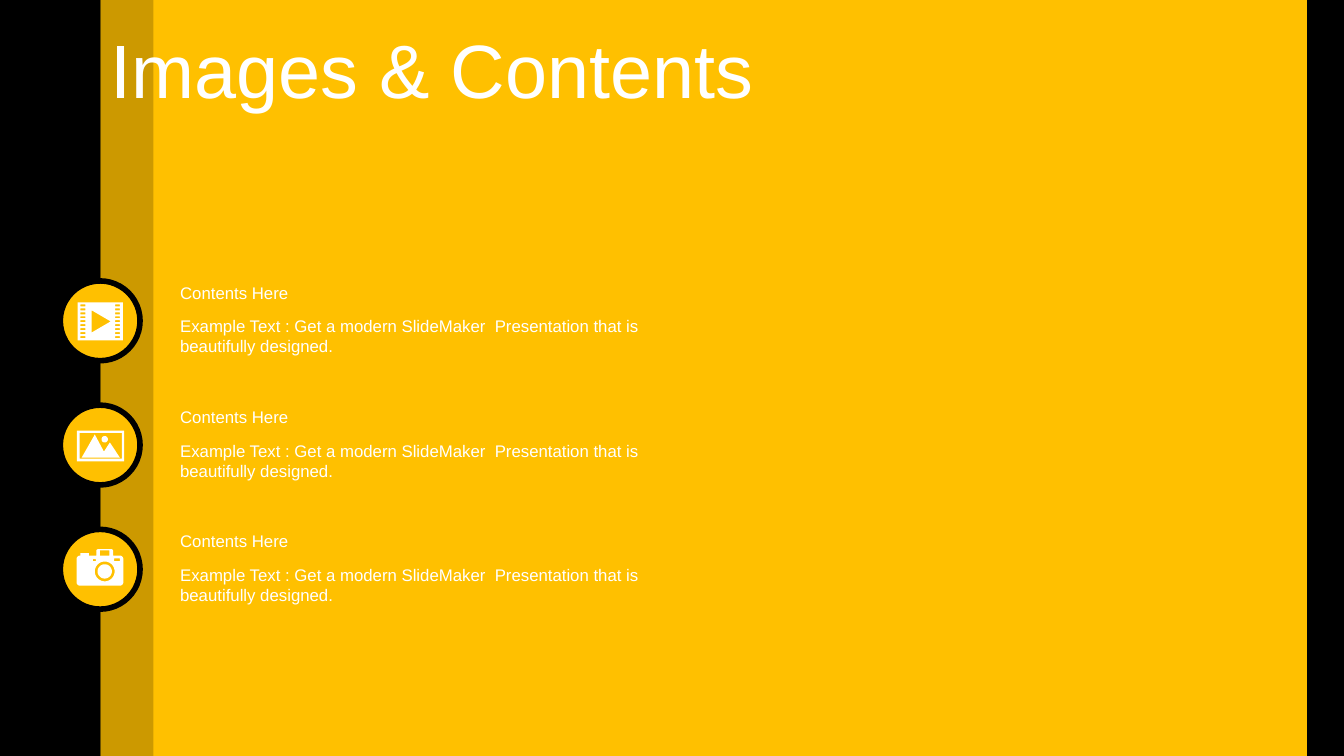
import math

from lxml import etree
from pptx import Presentation
from pptx.dml.color import RGBColor
from pptx.enum.shapes import MSO_SHAPE
from pptx.enum.text import MSO_ANCHOR, MSO_AUTO_SIZE
from pptx.oxml.ns import qn
from pptx.util import Cm, Pt

RECTANGLE, OVAL = MSO_SHAPE.RECTANGLE, MSO_SHAPE.OVAL
MIDDLE, TOP = MSO_ANCHOR.MIDDLE, MSO_ANCHOR.TOP
GROW, FIXED = MSO_AUTO_SIZE.SHAPE_TO_FIT_TEXT, MSO_AUTO_SIZE.NONE

WIDTH, HEIGHT = 33.87, 19.05
BLACK, AMBER, WHITE = "000000", "FFC000", "FFFFFF"
ROW_TOP, ROW_PITCH = 7.08, 3.13
HEADING = "Contents Here"
EXAMPLE = ("Example Text : Get a modern SlideMaker  Presentation that is "
           "beautifully designed.")


def colour(value):
    return RGBColor.from_string(value)


def rectangle(left, top, right, bottom):
    return [(left, top), (right, top), (right, bottom), (left, bottom)]


def arc(x, y, radius, start=0, end=360):
    """Points on an arc, with angles running clockwise from the right."""
    steps = max(6, (end - start) // 10)
    angles = [math.radians(start + (end - start) * i / steps)
              for i in range(steps + 1)]
    return [(x + radius * math.cos(a), y + radius * math.sin(a)) for a in angles]


class SlideBuilder:
    font_name = "Arial"

    def __init__(self, page):
        self.page = page

    def paint(self, shape, fill, alpha=None):
        shape.shadow.inherit = False
        shape.fill.solid()
        shape.fill.fore_color.rgb = colour(fill)
        shape.line.fill.background()
        if alpha is not None:
            tint = shape.fill._xPr.find(".//" + qn("a:srgbClr"))
            etree.SubElement(tint, qn("a:alpha"), val=str(alpha * 1000))

    def shape(self, kind, left, top, width, height, fill, alpha=None):
        shape = self.page.shapes.add_shape(
            kind, Cm(left), Cm(top), Cm(width), Cm(height))
        self.paint(shape, fill, alpha)
        return shape

    def badge(self, top):
        circle = self.shape(OVAL, 1.52, top, 2.01, 2.01, AMBER)
        circle.line.color.rgb = colour(BLACK)
        circle.line.width = Pt(4)

    def text(self, parent, left, top, width, height, words, size,
             anchor=TOP, auto_size=GROW, spacing=None):
        box = parent.shapes.add_textbox(Cm(left), Cm(top), Cm(width), Cm(height))
        frame_format = {"word_wrap": True, "vertical_anchor": anchor,
                        "auto_size": auto_size}
        for name, value in frame_format.items():
            setattr(box.text_frame, name, value)
        para = box.text_frame.paragraphs[0]
        if spacing:
            para.line_spacing = spacing
        span = para.add_run()
        span.text = words
        for name, value in {"name": self.font_name, "size": Pt(size)}.items():
            setattr(span.font, name, value)
        span.font.color.rgb = colour(WHITE)

    def content(self, top):
        group = self.page.shapes.add_group_shape()
        self.text(group, 4.29, top, 12.4, 0.76, HEADING, 12)
        self.text(group, 4.29, top + 0.85, 12.4, 1.27, EXAMPLE, 12)

    def icon(self, outlines):
        """One white freeform; inner outlines cut holes in outer ones."""
        builder = None
        for outline in outlines:
            points = [(Cm(x), Cm(y)) for x, y in outline]
            if builder is None:
                builder = self.page.shapes.build_freeform(*points[0], scale=1.0)
            else:
                builder.move_to(*points[0])
            builder.add_line_segments(points[1:], close=True)
        self.paint(builder.convert_to_shape(), WHITE)


def film_icon():
    holes = [rectangle(left, 7.67 + 0.1 * i, left + 0.12, 7.72 + 0.1 * i)
             for i in range(9) for left in (2.03, 2.9)]
    play = [(2.31, 7.82), (2.31, 8.38), (2.79, 8.1)]
    return [rectangle(1.96, 7.62, 3.1, 8.58), play] + holes


def landscape_icon():
    mountains = [(2.39, 10.95), (2.62, 11.38), (2.77, 11.15),
                 (3.02, 11.53), (2.06, 11.53)]
    return [rectangle(1.94, 10.85, 3.13, 11.63), rectangle(2.01, 10.91, 3.07, 11.56),
            mountains, arc(2.64, 11.07, 0.08)]


def camera_icon():
    button = [(2.03, 14), (2.03, 13.94), (2.24, 13.94), (2.24, 14)]
    hump = ([(2.43, 14)] + arc(2.47, 13.88, 0.04, 180, 270)
            + arc(2.81, 13.88, 0.04, 270, 360) + [(2.85, 14)])
    body = (arc(2.02, 14.09, 0.09, 180, 270) + button + hump
            + arc(3.02, 14.09, 0.09, 270, 360) + arc(3.02, 14.67, 0.09, 0, 90)
            + arc(2.02, 14.67, 0.09, 90, 180))
    return [body, rectangle(2.52, 13.87, 2.76, 14),
            rectangle(2.34, 14.09, 2.42, 14.14), rectangle(2.88, 14.07, 3.02, 14.14),
            arc(2.64, 14.4, 0.25), arc(2.64, 14.4, 0.18)]


def main():
    deck = Presentation()
    deck.slide_width, deck.slide_height = Cm(WIDTH), Cm(HEIGHT)
    page = deck.slides.add_slide(deck.slide_layouts[6])
    page.background.fill.solid()
    page.background.fill.fore_color.rgb = colour(AMBER)
    slide = SlideBuilder(page)

    # Backdrop bands
    slide.shape(RECTANGLE, 0, 0, 2.54, HEIGHT, BLACK)
    slide.shape(RECTANGLE, 2.54, 0, 17.07, HEIGHT, AMBER)
    slide.shape(RECTANGLE, 2.54, 0, 1.33, HEIGHT, BLACK, alpha=20)
    slide.shape(RECTANGLE, 32.94, 0, 0.93, HEIGHT, BLACK)

    # Title
    slide.text(page, 2.54, 0.56, 17.07, 2.62, "Images & Contents", 54,
               MIDDLE, FIXED, 0.9)

    # Rows: badge, icon and text
    for row, icon in enumerate((film_icon, landscape_icon, camera_icon)):
        top = ROW_TOP + row * ROW_PITCH
        slide.badge(top)
        slide.icon(icon())
        slide.content(top - 0.09)

    deck.save("out.pptx")


if __name__ == "__main__":
    main()
